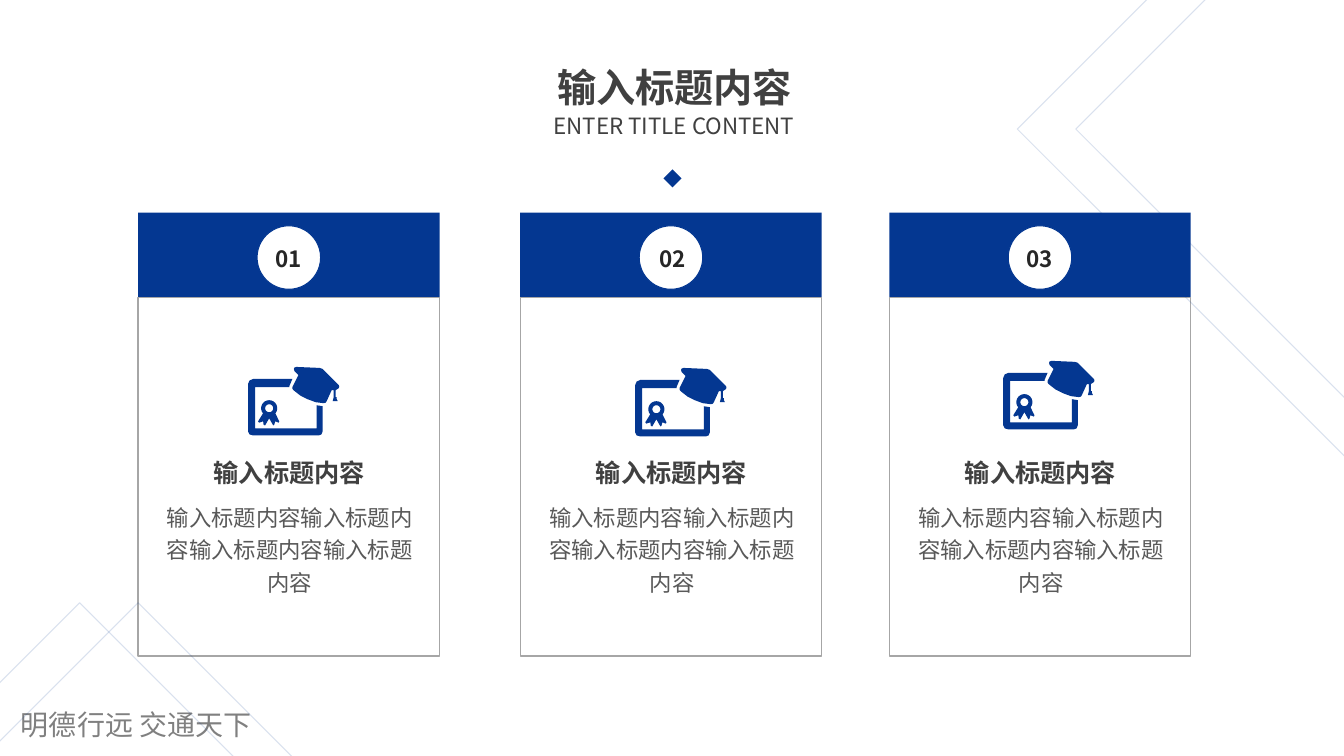
from math import cos, radians, sin

from lxml.etree import SubElement
from pptx import Presentation
from pptx.dml.color import RGBColor
from pptx.enum.shapes import MSO_SHAPE
from pptx.enum.text import MSO_ANCHOR, MSO_AUTO_SIZE, PP_ALIGN
from pptx.oxml.ns import qn
from pptx.util import Inches, Pt

BLUE = RGBColor(0x04, 0x37, 0x91)
WHITE = RGBColor(0xFF, 0xFF, 0xFF)
BORDER = RGBColor(0xA6, 0xA6, 0xA6)
FOOTER = RGBColor(0x80, 0x80, 0x80)
BODY = RGBColor(0x59, 0x59, 0x59)
HEADING = RGBColor(0x40, 0x40, 0x40)
NUMBER = RGBColor(0x26, 0x26, 0x26)
SANS = "Noto Sans CJK SC"
FOOTER_SANS = "Noto Sans CJK JP"


def arc(x, y, radius, start, end, steps=16):
    """Points on a circle from start to end, in degrees."""
    angles = [radians(start + (end - start) * i / steps) for i in range(steps + 1)]
    return [(x + radius * cos(a), y + radius * sin(a)) for a in angles]


# Outlines of the diploma icon, in hundredths of an inch from its top left corner
SEAL_HOLE = arc(21, 41, 4, 0, 360)
SEAL = arc(21, 41, 8, 140, 400) + [
    (31, 54), (30.5, 55.3), (27, 54), (26, 57.5), (25, 58),
    (21, 51), (17, 58), (15.5, 57.5), (15, 54), (11, 55.3), (10, 54)]
FRAME = [
    (44, 12), (41, 19), (41, 20), (7, 20), (7, 61), (68, 61), (68, 38), (74, 39),
    (74, 64), (72.8, 67), (70, 68), (5, 68), (1.5, 67), (0, 64), (0, 17),
    (1.5, 13.5), (5, 12)]
CAP = [
    (48, 0), (71, 1), (74, 2), (90, 18), (90.5, 19.5), (90, 21), (87, 23),
    (87, 30), (88, 30), (88, 32), (89, 34), (84, 34), (85, 30), (85, 23),
    (83, 23), (78, 34), (77, 35.5), (75, 36), (67, 35), (59, 32), (52, 28.5),
    (45, 23), (44, 21.5), (44, 20), (49, 10), (50, 8), (46, 4), (45.5, 2), (46, 0.7)]


class SlideBuilder:
    def __init__(self, slide):
        self.slide = slide

    def shape(self, kind, left, top, width, height, fill=None, line=None,
              weight=0.75, rotation=0):
        shape = self.slide.shapes.add_shape(
            kind, Inches(left), Inches(top), Inches(width), Inches(height))
        shape.rotation = rotation
        return self.paint(shape, fill, line, weight)

    def paint(self, shape, fill=None, line=None, weight=0.75):
        shape.shadow.inherit = False
        if fill is None:
            shape.fill.background()
        else:
            shape.fill.solid()
            shape.fill.fore_color.rgb = fill
        if line is None:
            shape.line.fill.background()
        else:
            shape.line.color.rgb = line
            shape.line.width = Pt(weight)
        return shape

    def text(self, words, left, top, width, height, size, color, holder=None,
             bold=False, align=PP_ALIGN.CENTER, spacing=None, wrap=False, font=SANS):
        holder = holder or self.slide.shapes.add_textbox(0, 0, 0, 0)
        holder.left, holder.top = Inches(left), Inches(top)
        holder.width, holder.height = Inches(width), Inches(height)
        frame = holder.text_frame
        frame.text = words
        frame.word_wrap = wrap
        frame.auto_size = MSO_AUTO_SIZE.NONE
        frame.vertical_anchor = MSO_ANCHOR.TOP
        paragraph = frame.paragraphs[0]
        paragraph.alignment = align
        if spacing:
            paragraph.line_spacing = spacing
        run = paragraph.runs[0]
        run.font.size = Pt(size)
        run.font.bold = bold
        run.font.color.rgb = color
        run.font.name = font
        SubElement(run.font._element, qn("a:ea")).set("typeface", font)

    def diploma(self, left, top):
        def place(points):
            return [(Inches(left + x / 100), Inches(top + y / 100)) for x, y in points]

        contours = [place(outline) for outline in (SEAL_HOLE, SEAL, FRAME, CAP)]
        builder = self.slide.shapes.build_freeform(*contours[0][0])
        builder.add_line_segments(contours[0][1:])
        for contour in contours[1:]:
            builder.move_to(*contour[0])
            builder.add_line_segments(contour[1:])
        self.paint(builder.convert_to_shape(), BLUE)

    def card(self, number, left, number_left, icon_left, icon_top):
        self.shape(MSO_SHAPE.RECTANGLE, left, 2.11, 2.99, 0.85, BLUE)
        self.shape(MSO_SHAPE.RECTANGLE, left, 2.95, 2.99, 3.56, WHITE, BORDER, 1)
        self.shape(MSO_SHAPE.OVAL, left + 1.18, 2.24, 0.63, 0.63, WHITE, BLUE)
        self.text(number, number_left, 2.38, 0.48, 0.37, 16, NUMBER, bold=True,
                  align=PP_ALIGN.LEFT)
        self.text("输入标题内容", left + 0.64, 4.49, 1.72, 0.4, 18, HEADING, bold=True)
        self.text("输入标题内容" * 4, left + 0.13, 4.9, 2.75, 1.04, 16, BODY,
                  spacing=1.2, wrap=True)
        self.diploma(icon_left, icon_top)

    def faint_square(self, left, top):
        square = self.shape(MSO_SHAPE.RECTANGLE, left, top, 5.7, 5.7,
                            line=BLUE, rotation=315)
        color = square.line._ln.find(".//" + qn("a:srgbClr"))
        SubElement(color, qn("a:alpha")).set("val", "15000")


def main():
    deck = Presentation()
    deck.slide_width, deck.slide_height = Inches(13.33), Inches(7.5)
    slide = deck.slides.add_slide(deck.slide_layouts[5])
    builder = SlideBuilder(slide)

    builder.text("输入标题内容", 5.41, 0.58, 2.56, 0.57, 28, HEADING,
                 holder=slide.shapes.title, bold=True)
    builder.text("明德行远 交通天下", 0.11, 6.97, 3.94, 0.44, 20, FOOTER,
                 align=PP_ALIGN.LEFT, wrap=True, font=FOOTER_SANS)
    for card in (("01", 1.37, 2.63, 2.46, 3.64),
                 ("02", 5.16, 6.44, 6.3, 3.65),
                 ("03", 8.82, 10.08, 9.95, 3.58)):
        builder.card(*card)
    for left, top in ((11.85, -1.57), (11.27, -1.57), (-1.48, 7.16), (-2.06, 7.16)):
        builder.faint_square(left, top)
    builder.text("ENTER TITLE CONTENT", 5.39, 1.06, 2.59, 0.37, 16, HEADING)
    builder.shape(MSO_SHAPE.DIAMOND, 6.58, 1.68, 0.18, 0.18, BLUE)

    deck.save("out.pptx")


if __name__ == "__main__":
    main()
